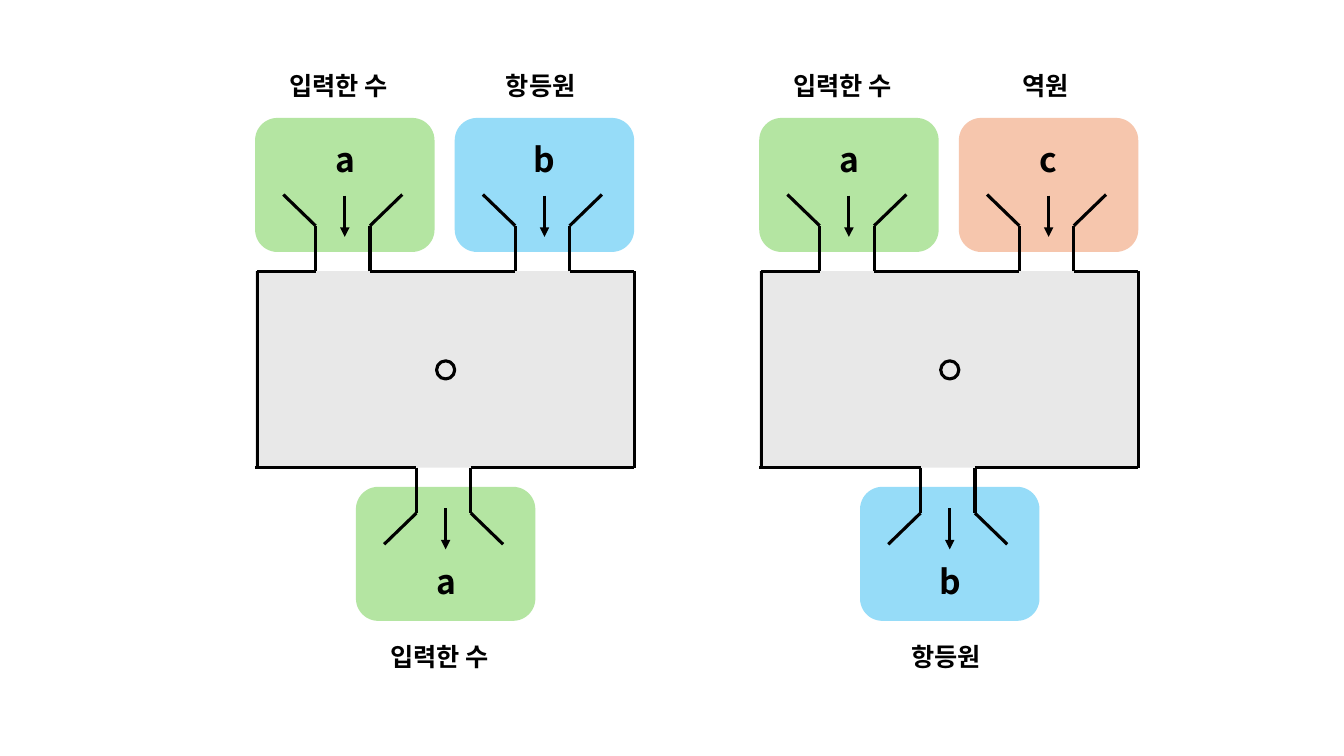
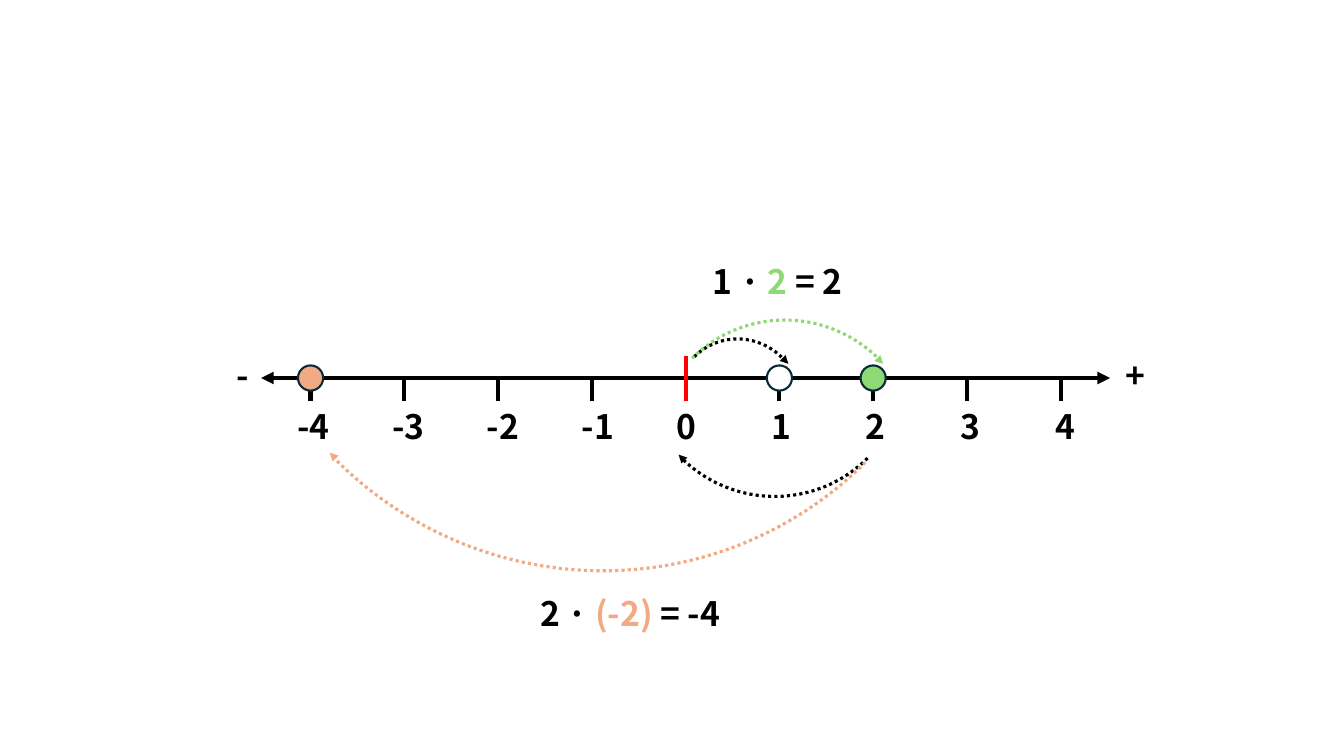
from lxml import etree
from pptx import Presentation
from pptx.dml.color import RGBColor
from pptx.enum.dml import MSO_LINE
from pptx.enum.shapes import MSO_CONNECTOR, MSO_SHAPE
from pptx.enum.text import MSO_AUTO_SIZE
from pptx.oxml.ns import qn
from pptx.util import Inches, Pt

FONT = "Noto Sans CJK KR"
COLORS = {
    "ink": "000000", "body": "E8E8E8", "white": "FFFFFF", "red": "FF0000",
    "pale_green": "B4E5A2", "pale_blue": "96DCF8", "pale_orange": "F6C6AD",
    "green": "8ED973", "orange": "F2AA84", "outline": "092A39",
}
RGB = {name: RGBColor.from_string(value) for name, value in COLORS.items()}


def add_line(shapes, start, end, color="ink", width=2.25, arrow=False):
    line = shapes.add_connector(
        MSO_CONNECTOR.STRAIGHT, *(Inches(v) for v in (*start, *end)))
    line.line.color.rgb = RGB[color]
    line.line.width = Pt(width)
    properties = line.line._get_or_add_ln()
    if arrow:
        etree.SubElement(properties, qn("a:tailEnd"), type="triangle")
    etree.SubElement(properties.getparent(), qn("a:effectLst"))


def add_text(shapes, left, top, width, runs, size=24):
    height = 0.5 if size == 24 else 0.4
    box = shapes.add_textbox(*(Inches(v) for v in (left, top, width, height)))
    frame = box.text_frame
    frame.word_wrap = False
    frame.auto_size = MSO_AUTO_SIZE.SHAPE_TO_FIT_TEXT
    for text, color in runs:
        run = frame.paragraphs[0].add_run()
        run.text = text
        run.font.size = Pt(size)
        run.font.bold = True
        run.font.name = FONT
        run.font.color.rgb = RGB[color]
        etree.SubElement(run.font._element, qn("a:ea"), typeface=FONT)


prs = Presentation()
prs.slide_width, prs.slide_height = Inches(13.33), Inches(7.5)
blank = prs.slide_layouts[6]

# Slide 1: identity and inverse machines
machine_slide = prs.slides.add_slide(blank)
BODY_TOP, BODY_BOTTOM, BODY_WIDTH = 2.69, 4.64, 3.75
CUP_WIDTH, CUP_HEIGHT = 1.78, 1.33
WALL, FLARE = 0.27, 0.32
TEXT_WIDTHS = {"a": 0.38, "b": 0.41, "c": 0.37,
               "입력한 수": 1.3, "항등원": 0.96, "역원": 0.71}
INPUT_TOPS = {"cup": 1.17, "letter": 1.33, "label": 0.65, "arrow": 1.94}
OUTPUT_TOPS = {"cup": 4.83, "letter": 5.52, "label": 6.31, "arrow": 5.04}
# centre from the machine's left side, edge, direction away from the body, tops
PORTS = [
    (0.89, BODY_TOP, -1, INPUT_TOPS),
    (2.87, BODY_TOP, -1, INPUT_TOPS),
    (1.89, BODY_BOTTOM, 1, OUTPUT_TOPS),
]
machines = [
    (2.53, [("a", "입력한 수", "pale_green"), ("b", "항등원", "pale_blue"),
            ("a", "입력한 수", "pale_green")]),
    (7.53, [("a", "입력한 수", "pale_green"), ("c", "역원", "pale_orange"),
            ("b", "항등원", "pale_blue")]),
]

for left, values in machines:
    machine = machine_slide.shapes.add_group_shape().shapes

    # Body, cups and operator
    blocks = [(MSO_SHAPE.RECTANGLE, left, BODY_TOP, BODY_WIDTH,
               BODY_BOTTOM - BODY_TOP, "body")]
    for (offset, edge, away, tops), (letter, label, color) in zip(PORTS, values):
        blocks.append((MSO_SHAPE.ROUNDED_RECTANGLE, left + offset - CUP_WIDTH / 2,
                       tops["cup"], CUP_WIDTH, CUP_HEIGHT, color))
    blocks.append((MSO_SHAPE.OVAL, left + 1.8, 3.58, 0.18, 0.18, None))
    for kind, *place, color in blocks:
        block = machine.add_shape(kind, *(Inches(v) for v in place))
        block.shadow.inherit = False
        if color:
            block.fill.solid()
            block.fill.fore_color.rgb = RGB[color]
            block.line.fill.background()
        else:
            block.fill.background()
            block.line.color.rgb = RGB["ink"]
            block.line.width = Pt(2.25)

    # Spouts with their arrows and words
    edge_stops = {BODY_TOP: [left + 0.02], BODY_BOTTOM: [left]}
    for (offset, edge, away, tops), (letter, label, color) in zip(PORTS, values):
        centre = left + offset
        neck, lip = edge + away * 0.45, edge + away * 0.76
        for side in (-1, 1):
            wall = centre - 0.02 + side * WALL
            add_line(machine, (wall, edge), (wall, neck))
            add_line(machine, (wall, neck), (wall + side * FLARE, lip))
            edge_stops[edge].append(wall)
        add_line(machine, (centre, tops["arrow"]),
                 (centre, tops["arrow"] + 0.41), arrow=True)
        for part, text, size in (("letter", letter, 24), ("label", label, 18)):
            width = TEXT_WIDTHS[text]
            add_text(machine, centre - width / 2, tops[part], width,
                     [(text, "ink")], size)

    # Outline, open at each spout
    right = left + BODY_WIDTH + 0.01
    for edge, stops in edge_stops.items():
        stops.append(right)
        for start, end in zip(stops[::2], stops[1::2]):
            add_line(machine, (start, edge), (end, edge))
    for x in (left + 0.02, right):
        add_line(machine, (x, BODY_TOP), (x, BODY_BOTTOM))

# Slide 2: multiplication on the number line
number_slide = prs.slides.add_slide(blank)
ORIGIN, STEP, AXIS, TICK_END = 6.8, 0.93, 3.75, 3.98

# Axis, ticks and numbers
axis = number_slide.shapes.add_group_shape().shapes
for tip in (11.01, 2.59):
    add_line(axis, (ORIGIN, AXIS), (tip, AXIS), width=3, arrow=True)
for number in range(-4, 5):
    x = ORIGIN + number * STEP
    add_line(axis, (x, TICK_END), (x, AXIS), width=3)
    add_text(axis, 6.61 + number * 0.94, TICK_END, 0.54 if number < 0 else 0.4,
             [(str(number), "ink")])
add_text(axis, 11.06, 3.47, 0.44, [("+", "ink")])
add_text(axis, 2.25, 3.47, 0.34, [("-", "ink")])
add_line(number_slide.shapes, (ORIGIN, 3.53), (ORIGIN, TICK_END), "red", 3)

# Marked points
DOT = 0.25
for number, color in ((-4, "orange"), (2, "green"), (1, "white")):
    point = number_slide.shapes.add_shape(
        MSO_SHAPE.OVAL, Inches(ORIGIN + number * STEP - DOT / 2),
        Inches(AXIS - DOT / 2), Inches(DOT), Inches(DOT))
    point.shadow.inherit = False
    point.fill.solid()
    point.fill.fore_color.rgb = RGB[color]
    point.line.color.rgb = RGB["outline"]
    point.line.width = Pt(1.5)

# Jumps: arc box, rotation, colour, arrowhead start, arrowhead direction
jumps = [
    ((6.71, 3.36, 1.22, 1.23), 315, "ink", (7.78, 3.57), 0.04),
    ((6.49, 3.17, 2.61, 2.63), 315, "green", (8.72, 3.57), 0.04),
    ((6.37, 2.3, 2.61, 2.63), 135, "ink", (6.77, 4.55), -0.04),
    ((2.25, -1.78, 7.39, 7.46), 135, "orange", (3.31, 4.53), -0.04),
]
for place, rotation, color, (x, y), shift in jumps:
    jump = number_slide.shapes.add_shape(
        MSO_SHAPE.ARC, *(Inches(v) for v in place))
    jump.rotation = rotation
    jump.shadow.inherit = False
    jump.fill.background()
    jump.line.color.rgb = RGB[color]
    jump.line.width = Pt(2.25)
    jump.line.dash_style = MSO_LINE.ROUND_DOT
    add_line(number_slide.shapes, (x, y), (x + shift, y + shift), color, 1.5,
             arrow=True)

# Equations
add_text(number_slide.shapes, 6.97, 2.54, 1.59,
         [("1 · ", "ink"), ("2", "green"), (" = 2", "ink")])
add_text(number_slide.shapes, 5.26, 5.83, 2.11,
         [("2 · ", "ink"), ("(-2)", "orange"), (" = -4", "ink")])

prs.save("out.pptx")
